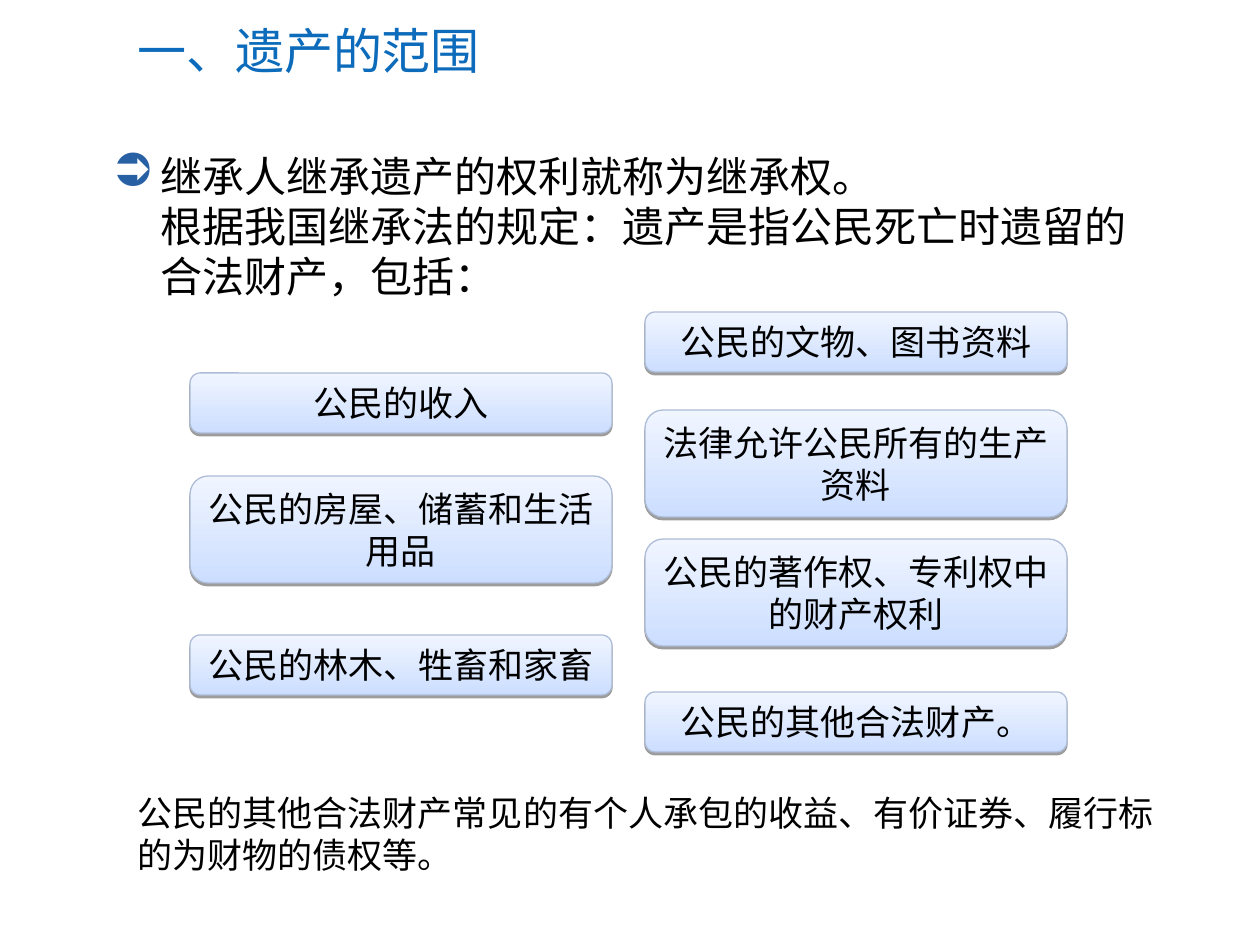
from dataclasses import dataclass

import lxml.etree
import pptx
import pptx.dml.color
import pptx.enum.shapes
import pptx.enum.text
import pptx.oxml.ns
import pptx.shapes.autoshape
import pptx.slide
import pptx.text.text
import pptx.util

EMU_PER_PX = 914400 / 126
COLORS = {
    "title": "0C6BBA",
    "text": "000000",
    "bullet": "2860A4",
    "card_bottom": "CCDEFF",
    "card_top": "F0F5FF",
    "card_edge": "ADBCD7",
    "shadow": "000000",
}
CARD_WIDTH = 422
LINE_HEIGHTS = {1: 60, 2: 107}
LEFT_COLUMN = 190
RIGHT_COLUMN = 645


@dataclass(frozen=True)
class Passage:
    left: int
    top: int
    width: int
    height: int
    lines: tuple[str, ...]
    size: int
    font: str
    color: str = "text"
    middle: bool = False
    bulleted: bool = False


@dataclass(frozen=True)
class Card:
    left: int
    top: int
    line_count: int
    label: str


PASSAGES = [
    Passage(125, 13, 1099, 73, ("一、遗产的范围",), 28, "Calibri", "title", middle=True),
    Passage(
        100, 144, 1051, 164,
        ("继承人继承遗产的权利就称为继承权。",
         "根据我国继承法的规定：遗产是指公民死亡时遗留的合法财产，包括："),
        24, "Noto Sans CJK SC", bulleted=True,
    ),
    Passage(
        125, 785, 1051, 97,
        ("公民的其他合法财产常见的有个人承包的收益、有价证券、履行标的为财物的债权等。",),
        20, "Noto Sans CJK SC",
    ),
]
CARDS = [
    Card(LEFT_COLUMN, 373, 1, "公民的收入"),
    Card(LEFT_COLUMN, 476, 2, "公民的房屋、储蓄和生活用品"),
    Card(LEFT_COLUMN, 635, 1, "公民的林木、牲畜和家畜"),
    Card(RIGHT_COLUMN, 312, 1, "公民的文物、图书资料"),
    Card(RIGHT_COLUMN, 410, 2, "法律允许公民所有的生产资料"),
    Card(RIGHT_COLUMN, 539, 2, "公民的著作权、专利权中的财产权利"),
    Card(RIGHT_COLUMN, 692, 1, "公民的其他合法财产。"),
]


def px(length: int) -> pptx.util.Emu:
    return pptx.util.Emu(round(length * EMU_PER_PX))


def rgb(key: str) -> pptx.dml.color.RGBColor:
    return pptx.dml.color.RGBColor.from_string(COLORS[key])


def add_element(parent: lxml.etree.ElementBase, tag: str, **attributes: str) -> lxml.etree.ElementBase:
    return lxml.etree.SubElement(parent, pptx.oxml.ns.qn(tag), attributes)


def add_run(paragraph: pptx.text.text._Paragraph, text: str, size: int, font: str, color: str) -> None:
    run = paragraph.add_run()
    run.text = text
    run.font.size = pptx.util.Pt(size)
    run.font.name = font
    run.font.color.rgb = rgb(color)
    add_element(run.font._element, "a:ea", typeface="Calibri")


def add_bullet(paragraph: pptx.text.text._Paragraph) -> None:
    properties = paragraph._p.get_or_add_pPr()
    properties.set("marL", str(px(48)))
    properties.set("indent", str(px(-48)))
    add_element(add_element(properties, "a:buClr"), "a:srgbClr", val=COLORS["bullet"])
    add_element(properties, "a:buSzPct", val="110000")
    add_element(properties, "a:buChar", char="➲")


def add_shadow(card_shape: pptx.shapes.autoshape.Shape) -> None:
    card_shape.shadow.inherit = False
    effects = card_shape._element.spPr.find(pptx.oxml.ns.qn("a:effectLst"))
    shadow = add_element(
        effects, "a:outerShdw", blurRad="0", dist=str(pptx.util.Pt(1.6)), dir="5400000", rotWithShape="0"
    )
    shade = add_element(shadow, "a:srgbClr", val=COLORS["shadow"])
    add_element(shade, "a:alpha", val="38000")


def draw_passage(slide: pptx.slide.Slide, passage: Passage) -> None:
    box = slide.shapes.add_textbox(px(passage.left), px(passage.top), px(passage.width), px(passage.height))
    frame = box.text_frame
    frame.word_wrap = True
    if passage.middle:
        frame.vertical_anchor = pptx.enum.text.MSO_ANCHOR.MIDDLE
    paragraph = frame.paragraphs[0]
    if passage.bulleted:
        add_bullet(paragraph)
    for index, line in enumerate(passage.lines):
        if index:
            paragraph.add_line_break()
        add_run(paragraph, line, passage.size, passage.font, passage.color)


def draw_card(slide: pptx.slide.Slide, card: Card) -> None:
    panel = slide.shapes.add_shape(
        pptx.enum.shapes.MSO_SHAPE.ROUNDED_RECTANGLE,
        px(card.left), px(card.top), px(CARD_WIDTH), px(LINE_HEIGHTS[card.line_count]),
    )
    panel.adjustments[0] = 0.17
    panel.fill.gradient()
    panel.fill.gradient_angle = 90
    for stop, key in zip(panel.fill.gradient_stops, ("card_bottom", "card_top")):
        stop.color.rgb = rgb(key)
    panel.line.color.rgb = rgb("card_edge")
    panel.line.width = pptx.util.Pt(0.75)
    add_shadow(panel)
    frame = panel.text_frame
    frame.word_wrap = True
    frame.vertical_anchor = pptx.enum.text.MSO_ANCHOR.MIDDLE
    paragraph = frame.paragraphs[0]
    paragraph.alignment = pptx.enum.text.PP_ALIGN.CENTER
    add_run(paragraph, card.label, 20, "Calibri", "text")


def main() -> None:
    presentation = pptx.Presentation()
    presentation.slide_width = px(1260)
    presentation.slide_height = px(945)
    slide = presentation.slides.add_slide(presentation.slide_layouts[6])
    for passage in PASSAGES:
        draw_passage(slide, passage)
    for card in CARDS:
        draw_card(slide, card)
    presentation.save("out.pptx")


if __name__ == "__main__":
    main()
